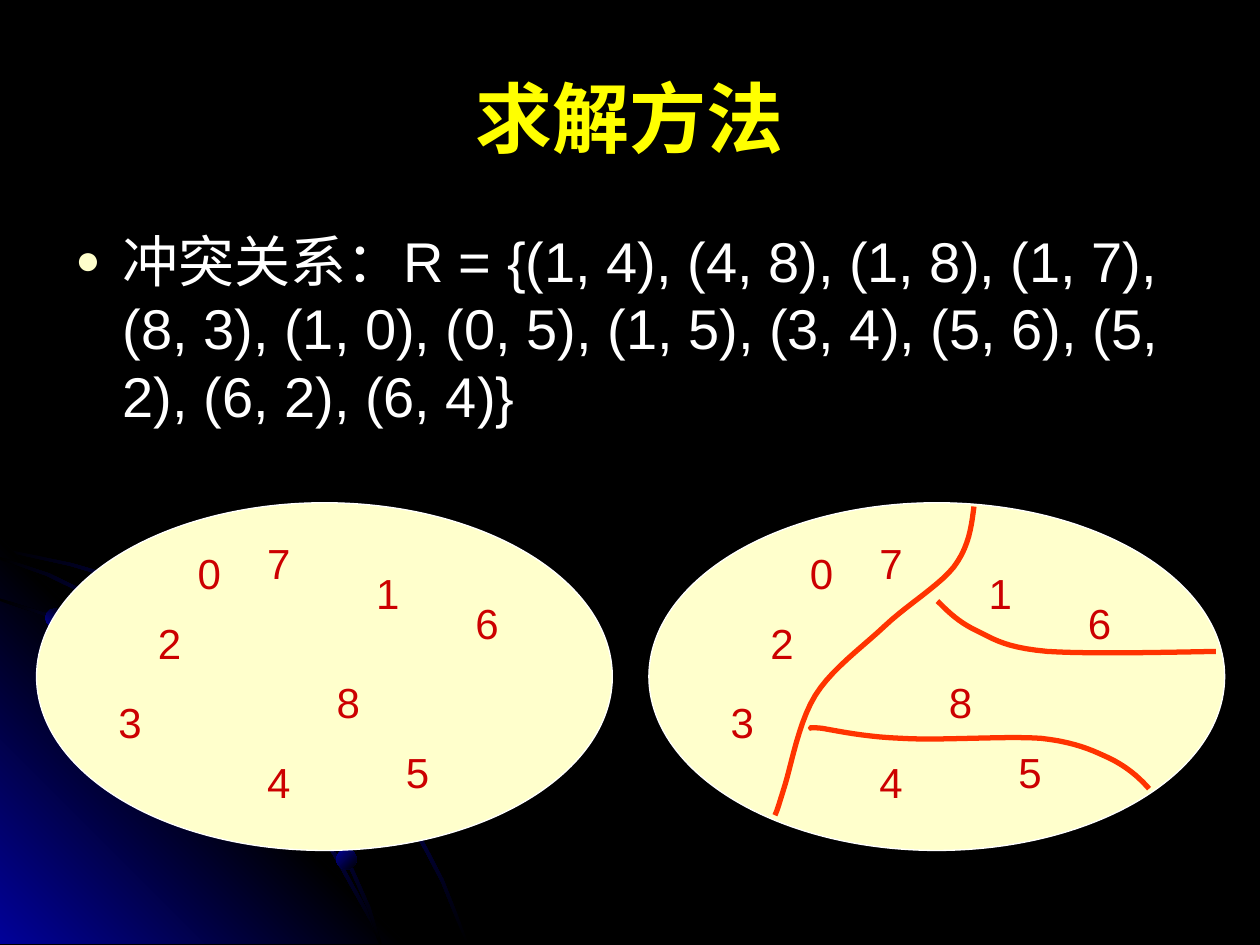
"""Build the slide showing a conflict relation and the partition that solves it."""
import copy

import pptx
import pptx.dml.color
import pptx.enum.shapes
import pptx.enum.text
import pptx.oxml
import pptx.oxml.ns
import pptx.util

COLORS = {name: pptx.dml.color.RGBColor.from_string(value) for name, value in {
    "black": "000000", "blue": "010199", "yellow": "FFFF00", "white": "FFFFFF",
    "cream": "FFFFCC", "red": "CC0000", "orange": "FF3300"}.items()}
OVAL = pptx.enum.shapes.MSO_SHAPE.OVAL

presentation = pptx.Presentation()
presentation.slide_width = pptx.util.Inches(10)
presentation.slide_height = pptx.util.Inches(7.5)
column = presentation.slide_width / 10
row = presentation.slide_height / 7.5

slide = presentation.slides.add_slide(presentation.slide_layouts[5])
slide.background.fill.solid()
slide.background.fill.fore_color.rgb = COLORS["black"]


def box(left, top, width, height):
    return [pptx.util.Emu(round(value)) for value in
            (left * column, top * row, width * column, height * row)]


def add_outline(points, close):
    places = [(round(x * column), round(y * row)) for x, y in points]
    builder = slide.shapes.build_freeform(*places[0], scale=1.0)
    builder.add_line_segments(places[1:], close=close)
    shape = builder.convert_to_shape()
    shape.shadow.inherit = False
    return shape


# (upper edge of each thin arc)
arcs = [
    [(0, 4.35), (0.57, 4.47), (0.98, 4.59), (1.36, 4.77), (1.74, 4.97), (2.09, 5.21),
     (2.42, 5.48), (2.72, 5.78), (3, 6.11), (3.25, 6.48), (3.39, 6.73), (3.52, 6.98),
     (3.62, 7.23), (3.72, 7.49)],
    [(0, 4.75), (0.41, 4.88), (0.79, 5.05), (1.17, 5.26), (1.52, 5.49), (1.84, 5.76),
     (2.15, 6.06), (2.42, 6.4), (2.66, 6.76), (2.86, 7.12), (2.96, 7.3), (3.03, 7.49)],
    [(0, 4.42), (0.39, 4.55), (0.76, 4.73), (1.11, 4.93), (1.44, 5.16), (1.75, 5.43),
     (2.04, 5.73), (2.29, 6.03), (2.54, 6.39), (2.69, 6.65), (2.82, 6.93), (2.94, 7.2),
     (3.03, 7.49)],
]
bands = []
for edge in arcs:
    inner = [(max(0, x - 0.02), min(7.49, y + 0.02)) for x, y in reversed(edge)]
    bands.append((add_outline(edge + inner, True), ["black", "blue", "black"], 315))
    if len(bands) == 1:
        glow = add_outline([(3.22, 7.49), (0, 7.49), (0, 4.27)], True)
        bands.append((glow, ["blue", "black", "blue"], 45))
for left, top, size, angle in [(0.36, 4.83, 0.15, 45), (2.67, 6.74, 0.16, 315),
                               (1.37, 4.73, 0.21, 45)]:
    dot = slide.shapes.add_shape(OVAL, *box(left, top, size, size))
    dot.shadow.inherit = False
    bands.append((dot, ["blue", "black"], angle))

for shape, names, angle in bands:
    shape.line.fill.background()
    shape.fill.gradient()
    shape.fill.gradient_angle = angle
    stops = shape.fill.gradient_stops
    stops[0].color.rgb, stops[1].color.rgb = COLORS[names[0]], COLORS[names[1]]
    if len(names) == 3:
        first, middle = shape._element.spPr.findall(".//" + pptx.oxml.ns.qn("a:gs"))
        last = copy.deepcopy(first)
        middle.set("pos", "50000")
        last.set("pos", "100000")
        middle.addnext(last)

title = slide.shapes.title
title.left, title.top, title.width, title.height = box(0.5, 0.3, 9, 1.25)
title.text_frame.text = "求解方法"
title.text_frame.vertical_anchor = pptx.enum.text.MSO_ANCHOR.MIDDLE
paragraph = title.text_frame.paragraphs[0]
paragraph.alignment = pptx.enum.text.PP_ALIGN.CENTER
paragraph.font.name = "Arial"
paragraph.font.size = pptx.util.Pt(44)
paragraph.font.bold = True
paragraph.font.color.rgb = COLORS["yellow"]

body = slide.shapes.add_textbox(*box(0.5, 1.75, 9, 1.75))
body.text_frame.word_wrap = True
paragraph = body.text_frame.paragraphs[0]
paragraph.text = ("冲突关系：R = {(1, 4), (4, 8), (1, 8), (1, 7), (8, 3), (1, 0), (0, 5), "
                  "(1, 5), (3, 4), (5, 6), (5, 2), (6, 2), (6, 4)}")
paragraph.font.name = "Arial"
paragraph.font.size = pptx.util.Pt(32)
paragraph.font.color.rgb = COLORS["white"]
paragraph.space_before = pptx.util.Pt(6.4)
properties = paragraph._p.get_or_add_pPr()
indent = round(0.375 * column)
properties.set("marL", str(indent))
properties.set("indent", str(-indent))
namespace = pptx.oxml.ns.nsdecls("a")
bullet = [f'<a:buClr {namespace}><a:srgbClr val="{COLORS["cream"]}"/></a:buClr>',
          f'<a:buSzPct {namespace} val="75000"/>',
          f'<a:buFont {namespace} typeface="Arial"/>',
          f'<a:buChar {namespace} char="●"/>']
position = properties.index(properties.find(pptx.oxml.ns.qn("a:spcBef"))) + 1
for offset, markup in enumerate(bullet):
    properties.insert(position + offset, pptx.oxml.parse_xml(markup))

step = 10 / 127
digits = {"2": (4, 8), "0": (8, 1), "1": (26, 3), "3": (0, 16), "7": (15, 0),
          "6": (36, 6), "8": (22, 14), "4": (15, 22), "5": (29, 21)}
for left in (0.29, 5.15):
    group = slide.shapes.add_group_shape()
    ellipse = group.shapes.add_shape(OVAL, *box(left, 3.99, 4.57, 2.76))
    ellipse.shadow.inherit = False
    ellipse.fill.solid()
    ellipse.fill.fore_color.rgb = COLORS["cream"]
    ellipse.line.color.rgb = COLORS["white"]
    ellipse.line.width = pptx.util.Pt(0.75)
    for digit, (across, down) in digits.items():
        label = group.shapes.add_textbox(
            *box(left + 0.55 + across * step, 4.22 + down * step, 0.39, 0.5))
        label.text_frame.word_wrap = False
        paragraph = label.text_frame.paragraphs[0]
        paragraph.text = digit
        paragraph.font.name = "Arial"
        paragraph.font.size = pptx.util.Pt(24)
        paragraph.font.color.rgb = COLORS["red"]

dividers = [
    [(7.73, 4.02), (7.71, 4.18), (7.69, 4.34), (7.57, 4.5), (7.45, 4.65), (7.2, 4.8),
     (7.02, 4.97), (6.84, 5.14), (6.6, 5.31), (6.47, 5.52), (6.34, 5.73), (6.28, 6.07),
     (6.23, 6.23), (6.18, 6.39), (6.17, 6.43), (6.15, 6.47)],
    [(7.44, 4.77), (7.53, 4.86), (7.61, 4.94), (7.76, 5.01), (7.9, 5.08), (7.99, 5.14),
     (8.31, 5.17), (8.62, 5.19), (9.13, 5.18), (9.65, 5.17)],
    [(6.44, 5.78), (6.43, 5.78), (6.41, 5.77), (6.52, 5.78), (6.64, 5.8), (6.87, 5.85),
     (7.15, 5.86), (7.44, 5.88), (7.98, 5.84), (8.26, 5.86), (8.53, 5.89), (8.66, 5.95),
     (8.81, 6.02), (8.95, 6.09), (9.04, 6.17), (9.12, 6.26)],
]
pieces = 10
for controls in dividers:
    points = controls[:1]
    for start in range(0, len(controls) - 1, 3):
        for piece in range(1, pieces + 1):
            t = piece / pieces
            weights = ((1 - t) ** 3, 3 * t * (1 - t) ** 2, 3 * t ** 2 * (1 - t), t ** 3)
            curve = controls[start:start + 4]
            points.append(tuple(sum(weight * point[axis] for weight, point
                                    in zip(weights, curve)) for axis in (0, 1)))
    divider = add_outline(points, False)
    divider.fill.background()
    divider.line.color.rgb = COLORS["orange"]
    divider.line.width = pptx.util.Pt(3)

presentation.save("out.pptx")
